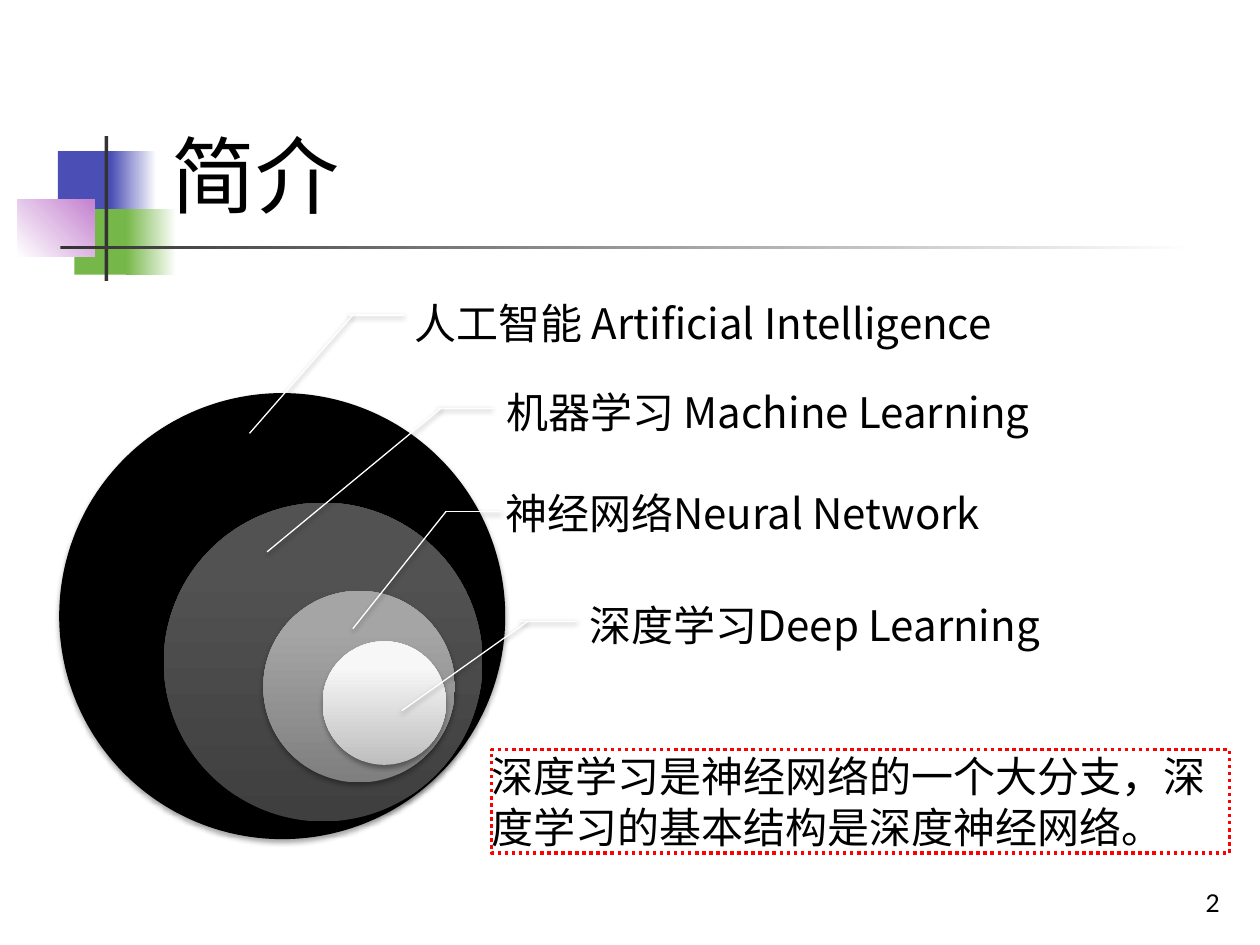
from lxml.etree import SubElement
from pptx import Presentation
from pptx.dml.color import RGBColor
from pptx.enum.dml import MSO_LINE
from pptx.enum.shapes import MSO_CONNECTOR, MSO_SHAPE
from pptx.enum.text import MSO_ANCHOR, MSO_AUTO_SIZE, PP_ALIGN
from pptx.oxml.ns import qn
from pptx.util import Inches, Pt

TITLE_FONT, LABEL_FONT, NUMBER_FONT = "DejaVu Sans Mono", "Noto Sans CJK JP", "Lato"

ACCENTS = [
    ((0.46, 1.2, 0.48, 0.52), "4B4EB5", None, 0),
    ((0.88, 1.2, 0.36, 0.52), "4B4EB5", "FFFFFF", 0),
    ((0.59, 1.66, 0.46, 0.52), "76B749", None, 0),
    ((1, 1.66, 0.4, 0.52), "76B749", "FFFFFF", 0),
    ((0.14, 1.58, 0.61, 0.46), "FFFFFF", "C481CF", 45),
    ((0.83, 1.08, 0.03, 1.15), "333333", None, 0),
    ((0.48, 1.95, 9, 0.03), "333333", "FFFFFF", 0),
]
CIRCLES = [
    (0.47, 3.12, 3.54, "000000", None),
    (1.3, 3.99, 2.53, "3F3F3F", "525252"),
    (2.09, 4.69, 1.52, "7F7F7F", "A5A5A5"),
    (2.56, 5.09, 0.98, "BEBEBE", "F7F7F7"),
]
LABELS = [
    ("人工智能 Artificial Intelligence", (3.1, 2.16, 4.93, 0.85),
     (2.77, 3.21, 2.5), (2.8, 1.98, 3.44)),
    ("机器学习 Machine Learning", (3.83, 2.87, 4.86, 0.85),
     (3.47, 3.91, 3.24), (3.5, 2.12, 4.38)),
    ("神经网络Neural Network", (3.82, 3.67, 4.37, 0.85),
     (3.53, 3.98, 4.06), (3.54, 2.8, 4.99)),
    ("深度学习Deep Learning", (4.49, 4.56, 4.06, 0.85),
     (4.13, 4.58, 4.93), (4.19, 3.19, 5.64)),
]
NOTE = "深度学习是神经网络的一个大分支，深度学习的基本结构是深度神经网络。"


def color(value):
    return RGBColor.from_string(value)


def apply(target, values):
    for name, value in values.items():
        setattr(target, name, value)


def margins(left, top, right, bottom):
    sides = ("left", "top", "right", "bottom")
    return {f"margin_{side}": Inches(size)
            for side, size in zip(sides, (left, top, right, bottom))}


class Builder:
    """Hold the slide and draw its kinds of element in one style."""

    def __init__(self, page):
        self.page = page
        self.shapes = page.shapes

    def effect(self, item, opacity=0, distance=1.8):
        effects = SubElement(item._element.spPr, qn("a:effectLst"))
        if opacity:
            shadow = SubElement(effects, qn("a:outerShdw"), {
                "blurRad": str(Pt(3.1)), "dist": str(Pt(distance)),
                "dir": "5400000", "rotWithShape": "0"})
            black = SubElement(shadow, qn("a:srgbClr"), val="000000")
            SubElement(black, qn("a:alpha"), val=str(opacity * 1000))

    def fill_text(self, box, text, size, font, frame_format, para_format):
        frame = box.text_frame
        frame.text = text
        apply(frame, {"word_wrap": True, **frame_format})
        para = frame.paragraphs[0]
        apply(para, {"alignment": PP_ALIGN.LEFT, **para_format})
        span = para.runs[0]
        apply(span.font, {"size": Pt(size), "name": font})
        span.font.color.rgb = color("000000")
        SubElement(span._r.get_or_add_rPr(), qn("a:ea"), typeface=font)

    def title(self, text, place):
        box = self.shapes.title
        names = ("left", "top", "width", "height")
        apply(box, dict(zip(names, map(Inches, place))))
        self.fill_text(box, text, 48, TITLE_FONT,
                       {"vertical_anchor": MSO_ANCHOR.BOTTOM,
                        "auto_size": MSO_AUTO_SIZE.NONE}, {})

    def text(self, text, place, size, font, frame_format, para_format):
        box = self.shapes.add_textbox(*map(Inches, place))
        self.fill_text(box, text, size, font, frame_format, para_format)

    def shape(self, kind, place, start, end=None, angle=0, reach=1, shadow=0):
        item = self.shapes.add_shape(kind, *map(Inches, place))
        if end:
            item.fill.gradient()
            item.fill.gradient_angle = angle
            stops = zip(item.fill.gradient_stops, (start, end), (0, reach))
            for stop, value, position in stops:
                stop.color.rgb = color(value)
                stop.position = position
        else:
            item.fill.solid()
            item.fill.fore_color.rgb = color(start)
        item.line.fill.background()
        self.effect(item, shadow)
        return item

    def line(self, *ends):
        item = self.shapes.add_connector(MSO_CONNECTOR.STRAIGHT, *map(Inches, ends))
        item.line.color.rgb = color("FFFFFF")
        item.line.width = Pt(0.75)
        self.effect(item, 38, 1.6)

    def note(self, text, place):
        box = self.shape(MSO_SHAPE.RECTANGLE, place, "FFFFFF")
        box.line.color.rgb = color("FF0000")
        apply(box.line, {"width": Pt(2), "dash_style": MSO_LINE.ROUND_DOT})
        self.fill_text(box, text, 24, LABEL_FONT,
                       {**margins(0, 0.01, 0, 0), "vertical_anchor": MSO_ANCHOR.TOP,
                        "auto_size": MSO_AUTO_SIZE.SHAPE_TO_FIT_TEXT}, {})


def main():
    deck = Presentation()
    apply(deck, {"slide_width": Inches(10), "slide_height": Inches(7.5)})
    builder = Builder(deck.slides.add_slide(deck.slide_layouts[5]))

    for place, start, end, angle in ACCENTS:
        builder.shape(MSO_SHAPE.RECTANGLE, place, start, end, angle)
    builder.title("简介", (1.26, 0.23, 8.52, 1.6))
    builder.text("2", (7.7, 6.83, 2.08, 0.5), 14, NUMBER_FONT,
                 {"vertical_anchor": MSO_ANCHOR.BOTTOM},
                 {"alignment": PP_ALIGN.RIGHT})

    for left, top, size, start, end in CIRCLES:
        builder.shape(MSO_SHAPE.OVAL, (left, top, size, size), start, end,
                      angle=90, reach=0.8, shadow=35)
    label_format = {**margins(0.19, 0.03, 0.03, 0.03),
                    "vertical_anchor": MSO_ANCHOR.MIDDLE}
    for text, place, (left, right, level), (bend, tip, bottom) in LABELS:
        builder.text(text, place, 24, LABEL_FONT, label_format,
                     {"line_spacing": 0.9})
        builder.line(left, level, right, level)
        builder.line(bend, level, tip, bottom)
    builder.note(NOTE, (3.9, 5.95, 5.86, 0.82))

    deck.save("out.pptx")


if __name__ == "__main__":
    main()
